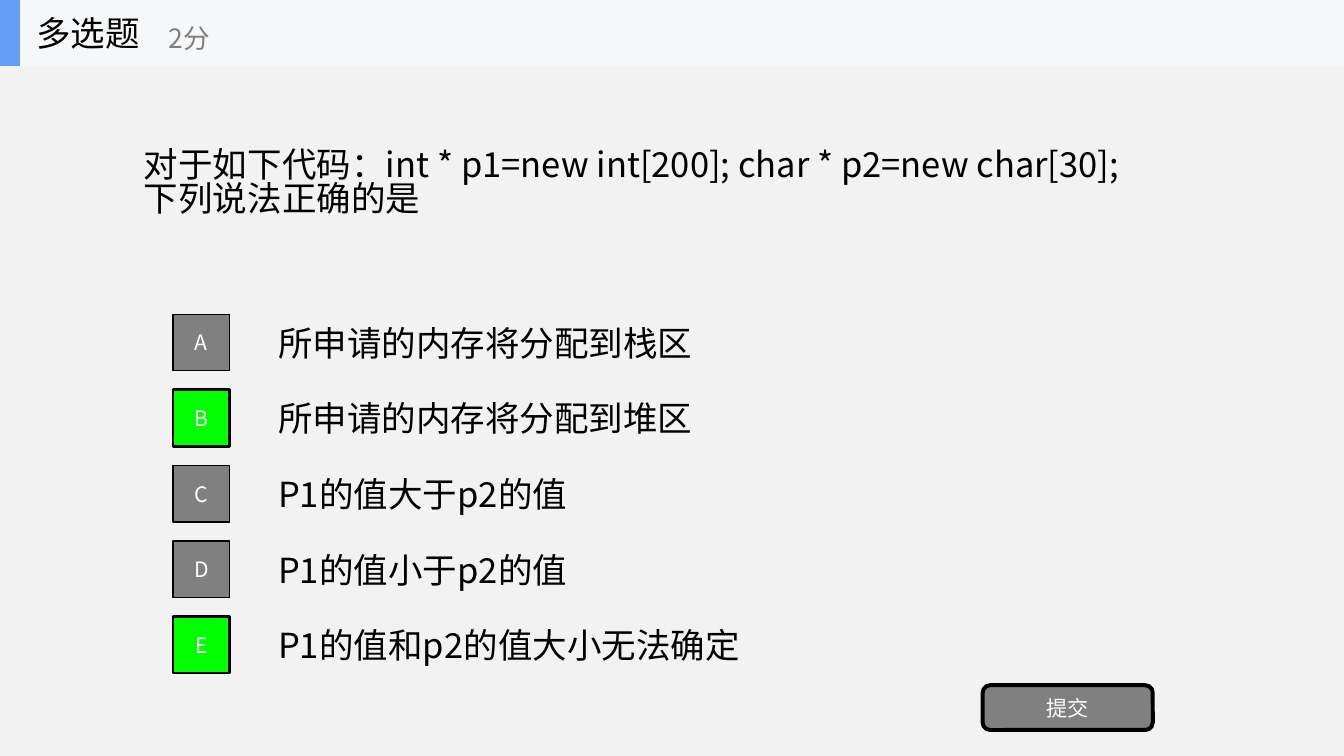
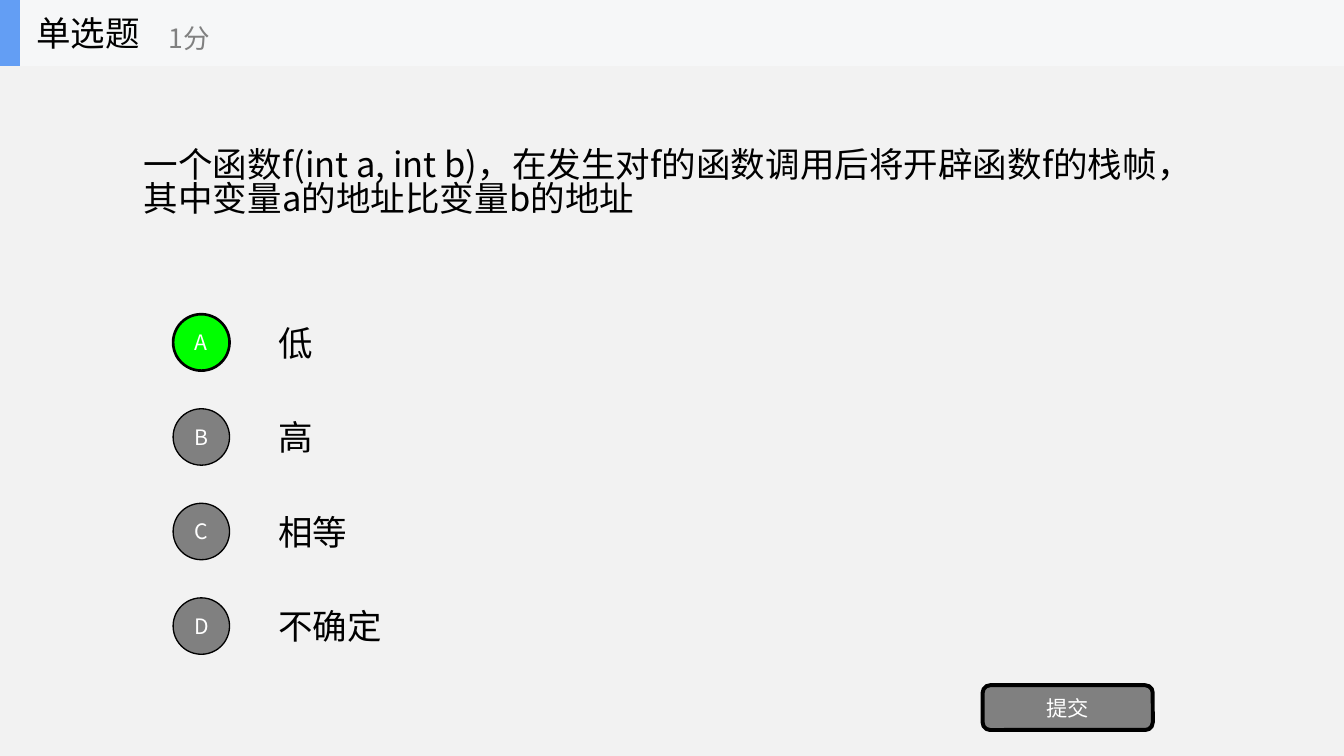
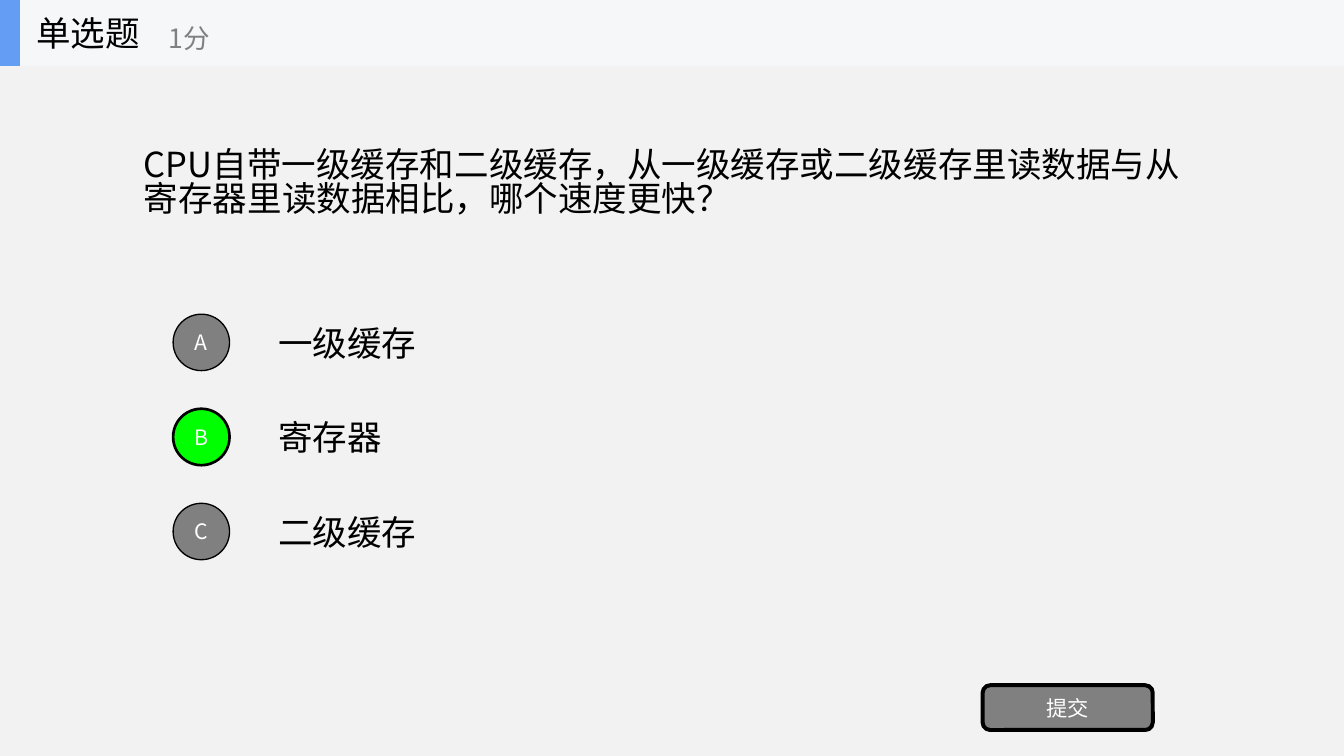
from lxml import etree
from pptx import Presentation
from pptx.dml.color import RGBColor
from pptx.enum.shapes import MSO_SHAPE
from pptx.enum.text import MSO_ANCHOR, MSO_AUTO_SIZE, PP_ALIGN
from pptx.oxml.ns import qn
from pptx.util import Cm, Pt

RECTANGLE, ROUNDED, OVAL = MSO_SHAPE.RECTANGLE, MSO_SHAPE.ROUNDED_RECTANGLE, MSO_SHAPE.OVAL
MIDDLE, NO_AUTOFIT = MSO_ANCHOR.MIDDLE, MSO_AUTO_SIZE.NONE
LEFT, CENTER = PP_ALIGN.LEFT, PP_ALIGN.CENTER

BLACK = RGBColor(0x00, 0x00, 0x00)
WHITE = RGBColor(0xFF, 0xFF, 0xFF)
GRAY = RGBColor(0x80, 0x80, 0x80)
GREEN = RGBColor(0x00, 0xFF, 0x00)
BLUE = RGBColor(0x63, 0x9E, 0xF4)
BAND = RGBColor(0xF6, 0xF7, 0xF8)
BACKGROUND = RGBColor(0xF2, 0xF2, 0xF2)
FONT = "Noto Sans CJK SC"

MULTIPLE, SINGLE = "多选题", "单选题"
BADGE_FORMS = {MULTIPLE: RECTANGLE, SINGLE: OVAL}
SUBMIT = "提交"

QUIZ = [
    {
        "type": MULTIPLE, "points": "2分", "correct": "BE",
        "question": "对于如下代码：int * p1=new int[200]; char * p2=new char[30];\n下列说法正确的是",
        "options": ["所申请的内存将分配到栈区", "所申请的内存将分配到堆区", "P1的值大于p2的值",
                    "P1的值小于p2的值", "P1的值和p2的值大小无法确定"],
    },
    {
        "type": SINGLE, "points": "1分", "correct": "A",
        "question": "一个函数f(int a, int b)，在发生对f的函数调用后将开辟函数f的栈帧，其中变量a的地址比变量b的地址",
        "options": ["低", "高", "相等", "不确定"],
    },
    {
        "type": SINGLE, "points": "1分", "correct": "B",
        "question": "CPU自带一级缓存和二级缓存，从一级缓存或二级缓存里读数据与从寄存器里读数据相比，哪个速度更快？",
        "options": ["一级缓存", "寄存器", "二级缓存"],
    },
]

# Left, top, width, height in centimetres
SLIDE_W, SLIDE_H = 35.71, 20.09
HEADER_H = 1.75
TITLE_BOX = (0.71, 0, 5.28, HEADER_H)
POINTS_BOX = (4.24, 0.3, 6.35, 1.42)
QUESTION_BOX = (3.57, HEADER_H, 28.58, 6.28)
SUBMIT_BOX = (26.11, 18.21, 4.52, 1.19)
QUESTION_SPACING = 0.82

FIRST_ROW_CENTER = 9.1
OPTIONS_H, MIN_ROWS = 10.05, 4
BADGE_LEFT, BADGE_SIZE = 4.6, 1.5
OPTION_LEFT, OPTION_W, OPTION_H = 7.14, 25, 1.88


def place(shape, box):
    shape.left, shape.top, shape.width, shape.height = map(Cm, box)


def write(shape, text, size, color=BLACK, align=LEFT):
    frame = shape.text_frame
    frame.text = text
    frame.word_wrap = True
    frame.auto_size = NO_AUTOFIT
    frame.vertical_anchor = MIDDLE
    for paragraph in frame.paragraphs:
        paragraph.alignment = align
        for run in paragraph.runs:
            font = run.font
            font.size, font.name = Pt(size), FONT
            font.color.rgb = color
            east_asian = etree.Element(qn("a:ea"), typeface=FONT)
            font._element.find(qn("a:latin")).addnext(east_asian)


def add_text(slide, box, text, size, color=BLACK):
    write(slide.shapes.add_textbox(*map(Cm, box)), text, size, color)


def add_block(slide, form, box, fill, line_width=0):
    block = slide.shapes.add_shape(form, *map(Cm, box))
    block.shadow.inherit = False
    block.fill.solid()
    block.fill.fore_color.rgb = fill
    if line_width:
        block.line.color.rgb = BLACK
        block.line.width = Pt(line_width)
    else:
        block.line.fill.background()
    return block


def add_button(slide, form, box, label, fill, line_width):
    write(add_block(slide, form, box, fill, line_width), label, 16, WHITE, CENTER)


def prepare_layout(layout, slide):
    """Set the shared look; the header is drawn on slide and moved to its layout."""
    layout.background.fill.solid()
    layout.background.fill.fore_color.rgb = BACKGROUND
    place(layout.placeholders[0], TITLE_BOX)
    place(layout.placeholders[1], QUESTION_BOX)
    for width, fill in ((SLIDE_W, BAND), (0.53, BLUE)):
        part = add_block(slide, RECTANGLE, (0, 0, width, HEADER_H), fill)
        layout.shapes.element.append(part.element)


def write_question(body, question):
    write(body, question, 26)
    for paragraph in body.text_frame.paragraphs:
        paragraph.space_before = Pt(0)
        paragraph.line_spacing = QUESTION_SPACING
        properties = paragraph._p.get_or_add_pPr()
        properties.set("marL", "0")
        properties.set("indent", "0")
        etree.SubElement(properties, qn("a:buNone"))


def add_options(slide, item):
    pitch = OPTIONS_H / max(len(item["options"]), MIN_ROWS)
    for row, (letter, option) in enumerate(zip("ABCDE", item["options"])):
        center = FIRST_ROW_CENTER + row * pitch
        add_text(slide, (OPTION_LEFT, center - OPTION_H / 2, OPTION_W, OPTION_H), option, 26)
        fill, line_width = (GREEN, 2) if letter in item["correct"] else (GRAY, 1)
        badge_box = (BADGE_LEFT, center - BADGE_SIZE / 2, BADGE_SIZE, BADGE_SIZE)
        add_button(slide, BADGE_FORMS[item["type"]], badge_box, letter, fill, line_width)


def main():
    deck = Presentation()
    deck.slide_width, deck.slide_height = Cm(SLIDE_W), Cm(SLIDE_H)
    layout = deck.slide_layouts[1]
    for number, item in enumerate(QUIZ):
        slide = deck.slides.add_slide(layout)
        if number == 0:
            prepare_layout(layout, slide)
        write(slide.shapes.title, item["type"], 26)
        write_question(slide.placeholders[1], item["question"])
        add_text(slide, POINTS_BOX, item["points"], 20, GRAY)
        add_options(slide, item)
        add_button(slide, ROUNDED, SUBMIT_BOX, SUBMIT, GRAY, 3)
    deck.save("out.pptx")


if __name__ == "__main__":
    main()
